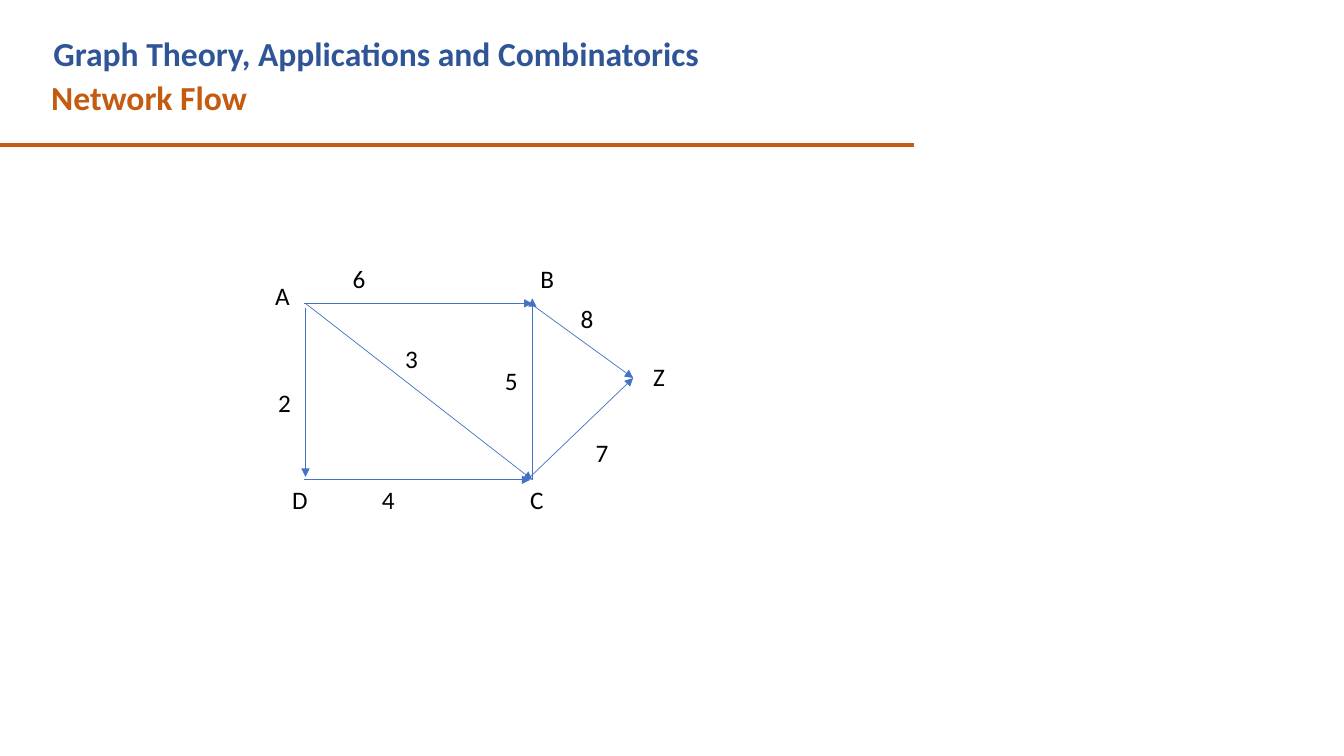
from lxml import etree
from pptx import Presentation
from pptx import util as u
from pptx.dml.color import RGBColor
from pptx.enum import shapes, text
from pptx.oxml.ns import qn

BLUE = RGBColor(0x2F, 0x55, 0x97)
ORANGE = RGBColor(0xC5, 0x5A, 0x11)
EDGE_BLUE = RGBColor(0x44, 0x72, 0xC4)
BLACK = RGBColor(0, 0, 0)

EDGES = [
    ((3.02, 3.01), (5.28, 3.01)),
    ((3.03, 3.06), (3.03, 4.73)),
    ((3.02, 4.76), (5.26, 4.76)),
    ((5.28, 4.76), (5.28, 2.96)),
    ((5.26, 3.01), (6.28, 3.75)),
    ((5.26, 4.73), (6.28, 3.75)),
    ((3.03, 3.01), (5.28, 4.76)),
]
VERTICES = [
    ("A", 2.63, 2.73, 0.39),
    ("B", 5.26, 2.56, 0.51),
    ("Z", 6.38, 3.54, 0.58),
    ("C", 5.16, 4.76, 0.61),
    ("D", 2.8, 4.76, 0.77),
]
CAPACITIES = [
    ("6", 3.4, 2.56, 0.7),
    ("8", 5.66, 2.96, 0.51),
    ("7", 5.81, 4.29, 0.49),
    ("4", 3.69, 4.76, 0.84),
    ("3", 3.92, 3.36, 0.43),
    ("2", 2.66, 3.79, 0.39),
    ("5", 4.91, 3.58, 0.47),
]


class SlideBuilder:
    font_name = "Calibri"

    def __init__(self, slide):
        self.slide = slide

    def set_text(self, shape, words, size, color, bold=False):
        frame = shape.text_frame
        frame.text = words
        frame.word_wrap = True
        frame.auto_size = text.MSO_AUTO_SIZE.SHAPE_TO_FIT_TEXT
        frame.vertical_anchor = text.MSO_ANCHOR.TOP
        paragraph = frame.paragraphs[0]
        paragraph.alignment = text.PP_ALIGN.LEFT
        paragraph.line_spacing = 1.0
        font = paragraph.font
        font.name = self.font_name
        font.size = u.Pt(size)
        font.bold = bold
        font.color.rgb = color

    def title(self, words, left, top, width, height, color):
        shape = self.slide.shapes.title
        shape.left, shape.top = u.Inches(left), u.Inches(top)
        shape.width, shape.height = u.Inches(width), u.Inches(height)
        self.set_text(shape, words, 24, color, True)

    def label(self, parent, words, left, top, width, height=0.4, size=18, color=BLACK, bold=False):
        shape = parent.shapes.add_textbox(
            u.Inches(left), u.Inches(top), u.Inches(width), u.Inches(height))
        self.set_text(shape, words, size, color, bold)

    def line(self, parent, start, end, color, width, arrow=False):
        connector = parent.shapes.add_connector(
            shapes.MSO_CONNECTOR.STRAIGHT, *map(u.Inches, start + end))
        connector.line.color.rgb = color
        connector.line.width = u.Pt(width)
        properties = connector._element.spPr
        if arrow:
            outline = properties.find(qn("a:ln"))
            etree.SubElement(outline, qn("a:tailEnd"), type="triangle")
        etree.SubElement(properties, qn("a:effectLst"))

    def network(self):
        group = self.slide.shapes.add_group_shape()
        for start, end in EDGES:
            self.line(group, start, end, EDGE_BLUE, 0.5, arrow=True)
        for words, left, top, width in VERTICES + CAPACITIES:
            self.label(group, words, left, top, width)


def main():
    presentation = Presentation()
    presentation.slide_width = u.Inches(13.33)
    presentation.slide_height = u.Inches(7.5)
    slide = presentation.slides.add_slide(presentation.slide_layouts[5])
    builder = SlideBuilder(slide)
    builder.title("Graph Theory, Applications and Combinatorics", 0.43, 0.28, 8.2, 0.5, BLUE)
    builder.label(slide, "Network Flow", 0.41, 0.71, 8.75, 0.5, 24, ORANGE, True)
    builder.line(slide, (-0.01, 1.44), (9.07, 1.44), ORANGE, 3)
    builder.network()
    presentation.save("out.pptx")


if __name__ == "__main__":
    main()
